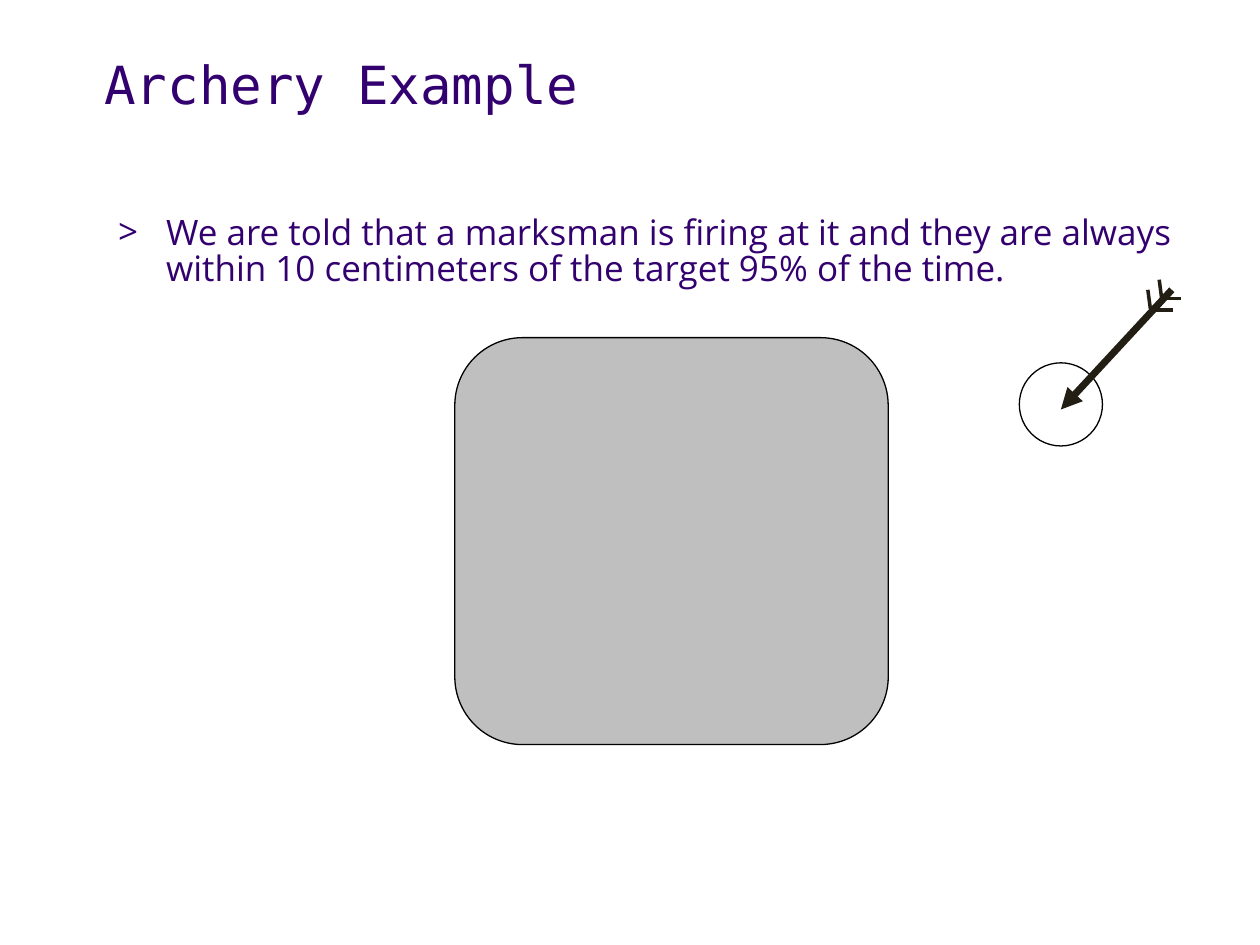
from lxml import etree
from pptx import Presentation
from pptx.dml.color import RGBColor
from pptx.enum.shapes import MSO_CONNECTOR, MSO_SHAPE
from pptx.oxml.ns import qn
from pptx.util import Inches, Pt

STRAIGHT = MSO_CONNECTOR.STRAIGHT
ELLIPSE = MSO_SHAPE.OVAL
ROUNDED = MSO_SHAPE.ROUNDED_RECTANGLE
PURPLE, BLACK, INK = "33006F", "000000", "231E13"
FLETCHES = [
    ((9.13, 2.45), (9.11, 2.3)),
    ((9.22, 2.37), (9.2, 2.22)),
    ((9.22, 2.37), (9.37, 2.37)),
    ((9.16, 2.46), (9.31, 2.46)),
]


def color(value):
    """Turn a hex string into a colour."""
    return RGBColor.from_string(value)


def set_line(line, value, width):
    """Give a line its colour and width in points."""
    line.color.rgb = color(value)
    line.width = Pt(width)


def add_text(page, place, text, font, size, spacing, top_inset):
    """Add a wrapped one-paragraph text box and return its paragraph."""
    box = page.shapes.add_textbox(*map(Inches, place))
    frame = box.text_frame
    frame.word_wrap = True
    frame.margin_top = Inches(top_inset)
    para = frame.paragraphs[0]
    para.line_spacing = spacing
    span = para.add_run()
    span.text = text
    for name, value in {"name": font, "size": Pt(size)}.items():
        setattr(span.font, name, value)
    span.font.color.rgb = color(PURPLE)
    return para


def add_bullet(para, mark, indent):
    """Give a paragraph a hanging bullet."""
    properties = para._p.get_or_add_pPr()
    properties.set("marL", str(Inches(indent)))
    properties.set("indent", str(-Inches(indent)))
    font = etree.SubElement(properties, qn("a:buFont"))
    font.set("typeface", "Open Sans")
    etree.SubElement(properties, qn("a:buChar")).set("char", mark)


def add_figure(page, kind, place, fill):
    """Add a filled preset shape with a thin black outline."""
    shape = page.shapes.add_shape(kind, *map(Inches, place))
    shape.shadow.inherit = False
    shape.fill.solid()
    shape.fill.fore_color.rgb = color(fill)
    set_line(shape.line, BLACK, 0.75)


def add_stroke(group, start, end, width, arrow=False):
    """Add a straight line, with an arrowhead at its end if asked."""
    stroke = group.shapes.add_connector(STRAIGHT, *map(Inches, start + end))
    set_line(stroke.line, INK, width)
    if arrow:
        tail = etree.SubElement(stroke.line._get_or_add_ln(), qn("a:tailEnd"))
        tail.set("type", "triangle")
    etree.SubElement(stroke._element.spPr, qn("a:effectLst"))


def add_arrow(page):
    """Draw the archer's arrow as one group."""
    group = page.shapes.add_group_shape()
    add_stroke(group, (9.3, 2.3), (8.42, 3.25), 4, arrow=True)
    for start, end in FLETCHES:
        add_stroke(group, start, end, 2)


def main():
    """Build the archery slide."""
    deck = Presentation()
    deck.slide_width, deck.slide_height = Inches(10), Inches(7.5)
    page = deck.slides.add_slide(deck.slide_layouts[6])
    add_figure(page, ELLIPSE, (8.09, 2.88, 0.66, 0.66), "FFFFFF")
    add_text(page, (0.73, 0.41, 8.95, 1.08), "Archery Example",
             "DejaVu Sans Mono", 30, 0.9, 0.06)
    statement = add_text(
        page, (0.84, 1.63, 8.96, 5.59),
        "We are told that a marksman is firing at it and they are always "
        "within 10 centimeters of the target 95% of the time.",
        "Open Sans", 20, 0.88, 0.08)
    add_bullet(statement, ">", 0.38)
    add_figure(page, ROUNDED, (3.61, 2.68, 3.44, 3.23), "BFBFBF")
    add_arrow(page)
    deck.save("out.pptx")


if __name__ == "__main__":
    main()
